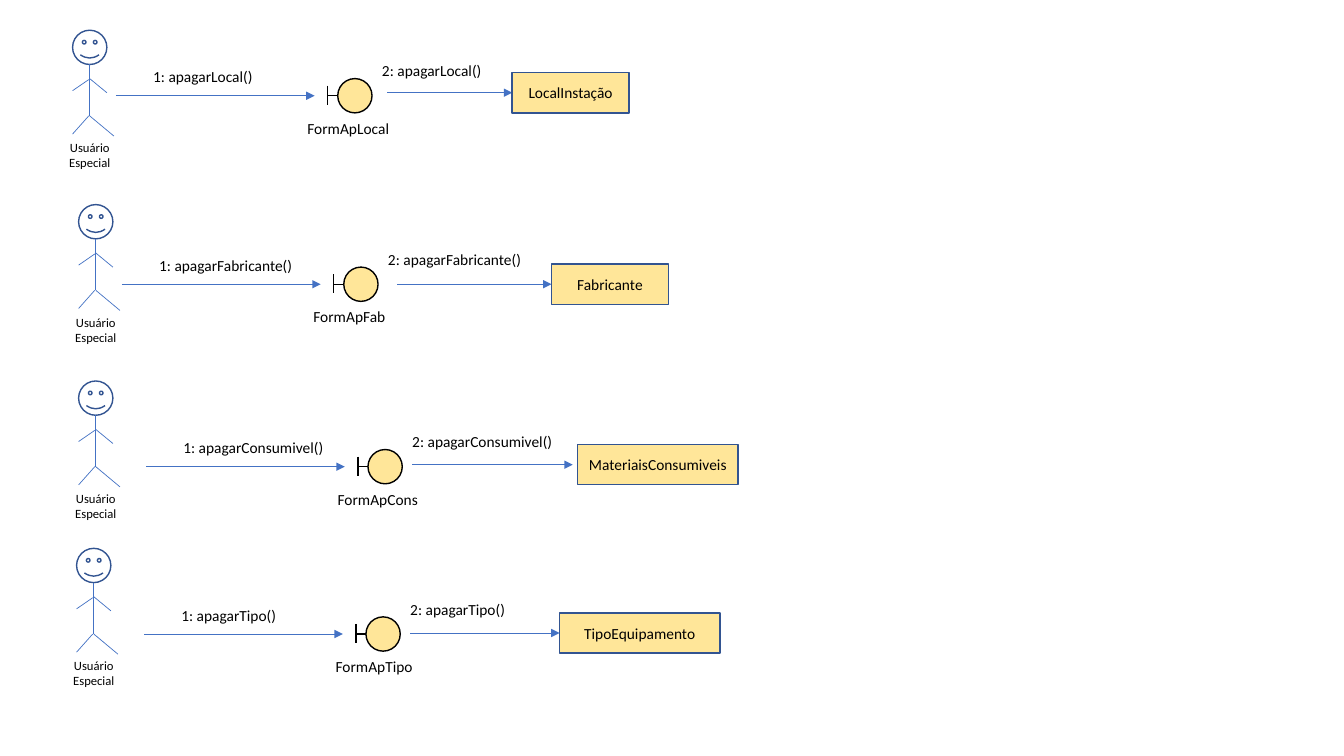
from collections import namedtuple

from lxml.etree import SubElement
from pptx import Presentation
from pptx.dml.color import RGBColor
from pptx.enum.shapes import MSO_CONNECTOR as Link, MSO_SHAPE as Preset
from pptx.enum.text import MSO_ANCHOR as Anchor, MSO_AUTO_SIZE as Fit, PP_ALIGN as Align
from pptx.oxml.ns import qn
from pptx.util import Inches, Pt

COLORS = {"flow": "4472C4", "outline": "325491", "fill": "FFE699", "ink": "000000"}

# actor and flow are (x, y) origins; reply is the x-span of the second message
Scenario = namedtuple("Scenario", "actor flow call form reply entity box")
SCENARIOS = [
    Scenario((0.72, 0.30), (1.15, 0.95), "apagarLocal()", "FormApLocal",
             (3.84, 5.08), "LocalInstação", (5.08, 0.72, 1.16, 0.4)),
    Scenario((0.78, 2.03), (1.21, 2.82), "apagarFabricante()", "FormApFab",
             (3.94, 5.47), "Fabricante", (5.47, 2.62, 1.16, 0.4)),
    Scenario((0.78, 3.78), (1.45, 4.63), "apagarConsumivel()", "FormApCons",
             (4.09, 5.68), "MateriaisConsumiveis", (5.73, 4.41, 1.59, 0.4)),
    Scenario((0.76, 5.44), (1.43, 6.29), "apagarTipo()", "FormApTipo",
             (4.07, 5.55), "TipoEquipamento", (5.55, 6.08, 1.59, 0.4)),
]
LIMBS = [
    ((0.17, 0.34), (0.17, 0.85)),  # trunk
    ((0.16, 0.49), (0.00, 0.60)),
    ((0.17, 0.48), (0.34, 0.62)),
    ((0.16, 0.85), (0.00, 1.03)),
    ((0.17, 0.85), (0.41, 1.05)),
]
HEAD = 0.34


def color(name):
    """Look up a palette colour."""
    return RGBColor.from_string(COLORS[name])


def write(frame, text, size=11, align=Align.LEFT, wrap=True, grow=False, anchor=Anchor.TOP):
    """Put formatted text into a text frame."""
    frame.word_wrap = wrap
    frame.auto_size = Fit.SHAPE_TO_FIT_TEXT if grow else Fit.NONE
    frame.vertical_anchor = anchor
    paragraph = frame.paragraphs[0]
    paragraph.alignment = align
    run = paragraph.add_run()
    run.text = text
    run.font.name = "Calibri"
    run.font.size = Pt(size)
    run.font.color.rgb = color("ink")


class Diagram:
    """Draws collaboration diagram elements on one slide."""

    def __init__(self, slide):
        """Keep the slide's shapes as the drawing target."""
        self.shapes = slide.shapes

    def line(self, start, end, tint="flow", width=0.5, arrow=False, group=None):
        """Draw a straight line, with an arrowhead at its end if asked."""
        points = [Inches(v) for v in (*start, *end)]
        link = (group or self.shapes).add_connector(Link.STRAIGHT, *points)
        link.line.color.rgb = color(tint)
        link.line.width = Pt(width)
        if arrow:
            SubElement(link.line._get_or_add_ln(), qn("a:tailEnd"), type="triangle")
        SubElement(link._element.spPr, qn("a:effectLst"))

    def shape(self, preset, box, outline, fill=None, group=None):
        """Draw an outlined preset shape, filled or open."""
        shape = (group or self.shapes).add_shape(preset, *map(Inches, box))
        shape.shadow.inherit = False
        shape.line.color.rgb = color(outline)
        shape.line.width = Pt(1)
        if fill:
            shape.fill.solid()
            shape.fill.fore_color.rgb = color(fill)
        else:
            shape.fill.background()
        return shape

    def label(self, text, x, y, width, height=0.29, group=None, **style):
        """Add a free-standing caption."""
        caption = (group or self.shapes).add_textbox(*map(Inches, (x, y, width, height)))
        write(caption.text_frame, text, grow=True, **style)

    def actor(self, x, y):
        """Draw the grouped stick figure with its role."""
        figure = self.shapes.add_group_shape().shapes
        self.shape(Preset.SMILEY_FACE, (x, y, HEAD, HEAD), "outline", group=figure)
        for (x1, y1), (x2, y2) in LIMBS:
            self.line((x + x1, y + y1), (x + x2, y + y2), group=figure)
        self.label("Usuário Especial", x - 0.15, y + 1.04, 0.64, 0.4,
                   group=figure, size=9, align=Align.CENTER)

    def boundary(self, x, y, name):
        """Draw a boundary symbol whose bar is centred on (x, y)."""
        self.shape(Preset.OVAL, (x + 0.1, y - HEAD / 2, HEAD, HEAD), "ink", "fill")
        self.line((x + 0.1, y), (x, y), "ink", 1)
        self.line((x, y - 0.1), (x, y + 0.09), "ink", 1)
        self.label(name, x - 0.3, y + 0.18, 1.06, wrap=False)

    def entity(self, name, box):
        """Draw a named entity box."""
        shape = self.shape(Preset.RECTANGLE, box, "outline", "fill")
        write(shape.text_frame, name, align=Align.CENTER, anchor=Anchor.MIDDLE)

    def scenario(self, row):
        """Draw one actor, boundary and entity with their messages."""
        x, y = row.flow
        width = 0.38 + 0.07 * len(row.call)
        self.actor(*row.actor)
        self.line((x, y), (x + 1.97, y), arrow=True)
        self.label(f"1: {row.call}", x + 0.27, y - 0.33, width, wrap=False)
        self.boundary(x + 2.1, y, row.form)
        _, top, _, height = row.box
        middle = top + height / 2
        start, end = row.reply
        self.line((start, middle), (end, middle), arrow=True)
        self.label(f"2: {row.call}", x + 2.54, y - 0.39, width, wrap=False)
        self.entity(row.entity, row.box)


deck = Presentation()
deck.slide_width, deck.slide_height = Inches(13.33), Inches(7.5)
diagram = Diagram(deck.slides.add_slide(deck.slide_layouts[6]))
for scenario in SCENARIOS:
    diagram.scenario(scenario)
deck.save("out.pptx")
